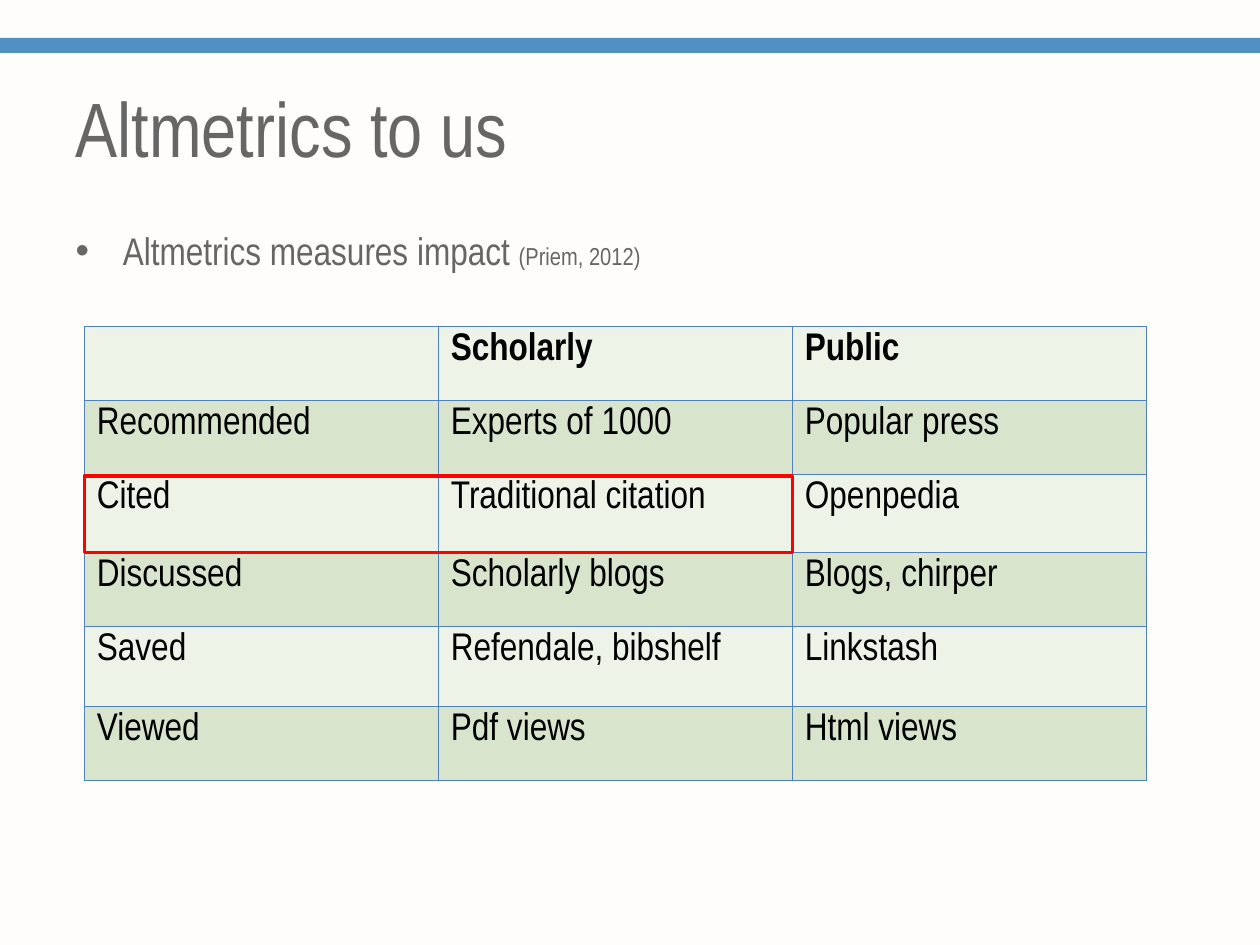
from dataclasses import dataclass

from lxml import etree
from pptx import Presentation
from pptx.dml.color import RGBColor
from pptx.enum.shapes import MSO_SHAPE
from pptx.enum.text import MSO_ANCHOR, MSO_AUTO_SIZE, PP_ALIGN
from pptx.oxml.ns import qn
from pptx.util import Pt

RECTANGLE = MSO_SHAPE.RECTANGLE
TOP, MIDDLE = MSO_ANCHOR.TOP, MSO_ANCHOR.MIDDLE
LEFT = PP_ALIGN.LEFT
NO_AUTOFIT = MSO_AUTO_SIZE.NONE

FONT = "Arial Narrow"
PAPER = RGBColor(0xFF, 0xFC, 0xFC)
GREY = RGBColor(0x66, 0x66, 0x66)
BLACK = RGBColor(0x00, 0x00, 0x00)
BAR_BLUE = RGBColor(0x4F, 0x91, 0xC2)
BORDER_BLUE = RGBColor(0x4F, 0x81, 0xBD)
RED = RGBColor(0xFF, 0x00, 0x00)
LIGHT_GREEN = RGBColor(0xED, 0xF3, 0xE7)
DARK_GREEN = RGBColor(0xD8, 0xE5, 0xCC)

TITLE_SIZE, TEXT_SIZE, CITATION_SIZE = 44, 22, 14
BORDER_WIDTH = 0.45
CELL_MARGIN = 3.6
COLUMN_WIDTH = 202.3


@dataclass(frozen=True)
class Frame:
    left: float
    top: float
    width: float
    height: float


@dataclass(frozen=True)
class ImpactRow:
    height: float
    texts: tuple[str, str, str]


ROWS = (
    ImpactRow(42.3, ("", "Scholarly", "Public")),
    ImpactRow(42.3, ("Recommended", "Experts of 1000", "Popular press")),
    ImpactRow(44.6, ("Cited", "Traditional citation", "Openpedia")),
    ImpactRow(42.3, ("Discussed", "Scholarly blogs", "Blogs, chirper")),
    ImpactRow(45.7, ("Saved", "Refendale, bibshelf", "Linkstash")),
    ImpactRow(42.3, ("Viewed", "Pdf views", "Html views")),
)
CITED_ROW = 2

TITLE = Frame(36, 27.4, 648, 90)
BODY = Frame(36, 126, 648, 356.4)
BAR = Frame(0, 21.6, 720, 8.6)
TABLE = Frame(48.2, 186.5, 3 * COLUMN_WIDTH, sum(row.height for row in ROWS))
HIGHLIGHT = Frame(
    TABLE.left,
    TABLE.top + sum(row.height for row in ROWS[:CITED_ROW]) + 0.8,
    2 * COLUMN_WIDTH,
    44,
)


def place(shape, frame: Frame) -> None:
    shape.left, shape.top = Pt(frame.left), Pt(frame.top)
    shape.width, shape.height = Pt(frame.width), Pt(frame.height)


def format_span(span, size: float, color: RGBColor, bold: bool = False) -> None:
    span.font.name = FONT
    span.font.size = Pt(size)
    span.font.bold = bold
    span.font.color.rgb = color


def add_rectangle(slide, frame: Frame):
    box = slide.shapes.add_shape(
        RECTANGLE, Pt(frame.left), Pt(frame.top), Pt(frame.width), Pt(frame.height)
    )
    box.shadow.inherit = False
    return box


def fill_title(title) -> None:
    place(title, TITLE)
    title.text_frame.text = "Altmetrics to us"
    title.text_frame.auto_size = NO_AUTOFIT
    title.text_frame.vertical_anchor = MIDDLE
    para = title.text_frame.paragraphs[0]
    para.alignment = LEFT
    format_span(para.runs[0], TITLE_SIZE, GREY)


def fill_body(body) -> None:
    place(body, BODY)
    body.text_frame.auto_size = NO_AUTOFIT
    body.text_frame.vertical_anchor = TOP
    para = body.text_frame.paragraphs[0]
    para.space_before = Pt(3.5)
    properties = para._p.get_or_add_pPr()
    properties.set("marL", str(Pt(27)))
    properties.set("indent", str(Pt(-27)))
    for text, size in (
        ("Altmetrics measures impact ", TEXT_SIZE),
        ("(Priem, 2012)", CITATION_SIZE),
    ):
        span = para.add_run()
        span.text = text
        format_span(span, size, GREY)


def set_borders(cell) -> None:
    """Outline a cell; borders must precede the fill in its properties."""
    properties = cell._tc.get_or_add_tcPr()
    for position, side in enumerate(("lnL", "lnR", "lnT", "lnB")):
        line = etree.Element(qn(f"a:{side}"), w=str(Pt(BORDER_WIDTH)))
        solid = etree.SubElement(line, qn("a:solidFill"))
        etree.SubElement(solid, qn("a:srgbClr"), val=str(BORDER_BLUE))
        properties.insert(position, line)


def fill_cell(cell, text: str, fill: RGBColor, bold: bool) -> None:
    cell.fill.solid()
    cell.fill.fore_color.rgb = fill
    cell.margin_top = cell.margin_bottom = Pt(CELL_MARGIN)
    cell.vertical_anchor = TOP
    set_borders(cell)
    if text:
        cell.text_frame.text = text
        format_span(cell.text_frame.paragraphs[0].runs[0], TEXT_SIZE, BLACK, bold)


def add_impact_table(slide) -> None:
    table = slide.shapes.add_table(
        len(ROWS), 3, Pt(TABLE.left), Pt(TABLE.top), Pt(TABLE.width), Pt(TABLE.height)
    ).table
    for column in table.columns:
        column.width = Pt(COLUMN_WIDTH)
    for row_index, row in enumerate(ROWS):
        table.rows[row_index].height = Pt(row.height)
        fill = DARK_GREEN if row_index % 2 else LIGHT_GREEN
        for column_index, text in enumerate(row.texts):
            cell = table.cell(row_index, column_index)
            fill_cell(cell, text, fill, bold=row_index == 0)


def main() -> None:
    deck = Presentation()
    deck.slide_width, deck.slide_height = Pt(720), Pt(540)
    slide = deck.slides.add_slide(deck.slide_layouts[1])
    slide.background.fill.solid()
    slide.background.fill.fore_color.rgb = PAPER

    fill_title(slide.shapes.title)
    fill_body(slide.placeholders[1])
    add_impact_table(slide)

    highlight = add_rectangle(slide, HIGHLIGHT)
    highlight.fill.background()
    highlight.line.color.rgb = RED
    highlight.line.width = Pt(2)

    bar = add_rectangle(slide, BAR)
    bar.fill.solid()
    bar.fill.fore_color.rgb = BAR_BLUE
    bar.line.fill.background()

    deck.save("out.pptx")


if __name__ == "__main__":
    main()
